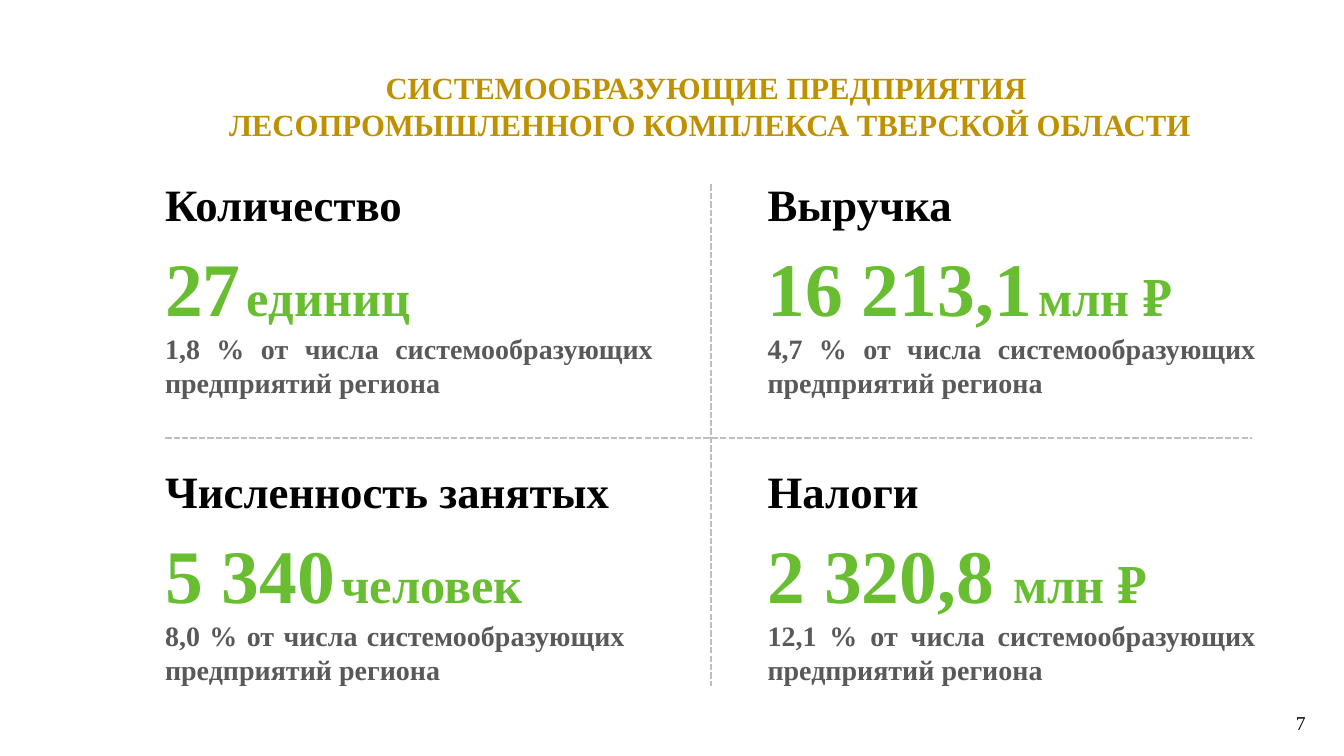
from pptx import Presentation
from pptx.dml.color import RGBColor
from pptx.enum.dml import MSO_LINE
from pptx.enum.shapes import MSO_CONNECTOR
from pptx.enum.text import MSO_ANCHOR, MSO_AUTO_SIZE, PP_ALIGN
from pptx.oxml.ns import qn
from pptx.util import Inches, Pt
from lxml import etree

COLORS = {"gold": "BF9000", "black": "000000", "green": "68BD30",
          "gray": "595959", "divider": "BFBFBF"}
FONT = "Times New Roman"


def write(shape, paragraphs, align, anchor=MSO_ANCHOR.TOP):
    """Fill a shape with paragraphs of (text, size, color, bold) runs."""
    frame = shape.text_frame
    frame.word_wrap = True
    frame.auto_size = MSO_AUTO_SIZE.NONE
    frame.vertical_anchor = anchor
    for index, runs in enumerate(paragraphs):
        paragraph = frame.add_paragraph() if index else frame.paragraphs[0]
        paragraph.alignment = align
        for text, size, color, bold in runs:
            run = paragraph.add_run()
            run.text = text
            run.font.name = FONT
            run.font.size = Pt(size)
            run.font.bold = bold
            run.font.color.rgb = RGBColor.from_string(COLORS[color])


def add_text(left, top, width, height, *content):
    box = slide.shapes.add_textbox(Inches(left), Inches(top), Inches(width), Inches(height))
    write(box, *content)


prs = Presentation()
prs.slide_width, prs.slide_height = Inches(13.34), Inches(7.5)
slide = prs.slides.add_slide(prs.slide_layouts[5])

# Title
title = slide.shapes.title
title.left, title.top = Inches(1.25), Inches(0.63)
title.width, title.height = Inches(11.59), Inches(0.84)
title_lines = ["СИСТЕМООБРАЗУЮЩИЕ ПРЕДПРИЯТИЯ ",
               "ЛЕСОПРОМЫШЛЕННОГО КОМПЛЕКСА ТВЕРСКОЙ ОБЛАСТИ"]
write(title, [[(line, 22, "gold", True)] for line in title_lines], PP_ALIGN.CENTER)

# Slide number
add_text(10.06, 6.97, 3, 0.4, [[("7", 14, "black", False)]],
         PP_ALIGN.RIGHT, MSO_ANCHOR.MIDDLE)

# Four indicators: heading, value, gap size, unit, share, width of the value block
indicators = [
    ("Количество", "27", 18, "единиц", "1,8", 5.04),
    ("Выручка", "16 213,1", 18, "млн ₽", "4,7", 5.04),
    ("Численность занятых", "5 340", 18, "человек", "8,0", 4.76),
    ("Налоги", "2 320,8", 54, "млн ₽", "12,1", 5.04),
]
for index, (heading, value, gap, unit, share, width) in enumerate(indicators):
    row, column = divmod(index, 2)
    left, top = 1.54 + 5.98 * column, 1.7 + 2.85 * row
    add_text(left, top, 4.68, 0.64, [[(heading, 32, "black", True)]], PP_ALIGN.JUSTIFY)
    note = f"{share} % от числа системообразующих предприятий региона"
    add_text(left, top + 0.64, width, 1.67,
             [[(value, 54, "green", True), (" ", gap, "green", True),
               (unit, 36, "green", True)],
              [(note, 20, "gray", True)]], PP_ALIGN.JUSTIFY)

# Dashed dividers
for x1, y1, x2, y2 in [(7.06, 1.83, 7.06, 6.81), (1.64, 4.35, 12.43, 4.35)]:
    divider = slide.shapes.add_connector(
        MSO_CONNECTOR.STRAIGHT, Inches(x1), Inches(y1), Inches(x2), Inches(y2))
    divider.line.color.rgb = RGBColor.from_string(COLORS["divider"])
    divider.line.width = Pt(1.5)
    divider.line.dash_style = MSO_LINE.SQUARE_DOT
    etree.SubElement(divider.element.spPr, qn("a:effectLst"))

prs.save("out.pptx")
